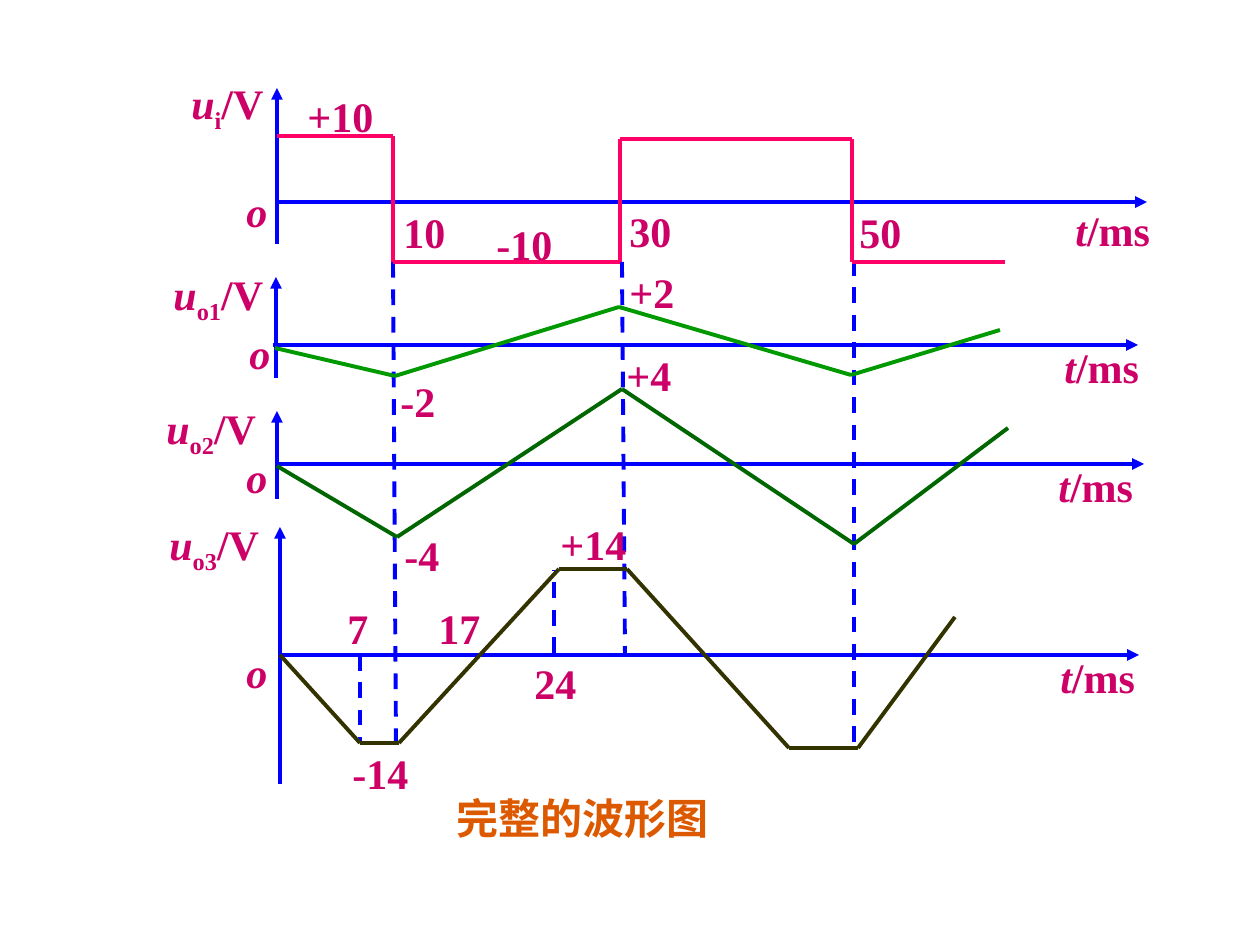
from lxml import etree
from pptx import Presentation
from pptx.dml.color import RGBColor
from pptx.enum.dml import MSO_LINE
from pptx.enum.shapes import MSO_CONNECTOR
from pptx.enum.text import MSO_ANCHOR, MSO_AUTO_SIZE, PP_ALIGN
from pptx.oxml.ns import qn
from pptx.util import Emu, Inches, Pt

STRAIGHT = MSO_CONNECTOR.STRAIGHT
DASH = MSO_LINE.DASH
TOP, LEFT = MSO_ANCHOR.TOP, PP_ALIGN.LEFT
NO_AUTOFIT = MSO_AUTO_SIZE.NONE

EMU_PER_PX = 914400 / 126
FONT, TEXT_SIZE, LINE_WIDTH = "Times New Roman", Pt(24), Pt(2.25)
TEXT_HEIGHT = 63
COLORS = {
    "axis": "0000FF",
    "label": "CC0066",
    "caption": "DC5900",
    "ui": "FF0066",
    "uo1": "009900",
    "uo2": "006600",
    "uo3": "333300",
}

CAPTION = ("完整的波形图", (444, 786, 488, TEXT_HEIGHT))

# Axis ends and label boxes (left, top, width), then the corners of the wave.
PANELS = [
    {"signal": "ui", "time_axis": (277, 1147, 202), "value_axis": (277, 244, 88),
     "signal_at": (179, 71, 171), "origin_at": (234, 179, 67), "time_at": (1063, 198, 154),
     "wave": [(277, 136), (393, 136), (393, 262), (620, 262),
              (620, 139), (852, 139), (852, 262), (1005, 262)]},
    {"signal": "uo1", "time_axis": (273, 1138, 345), "value_axis": (276, 378, 277),
     "signal_at": (161, 262, 168), "origin_at": (237, 321, 67), "time_at": (1052, 335, 142),
     "wave": [(275, 348), (395, 376), (619, 307), (851, 375), (1000, 330)]},
    {"signal": "uo2", "time_axis": (275, 1144, 464), "value_axis": (277, 499, 411),
     "signal_at": (154, 396, 166), "origin_at": (234, 445, 67), "time_at": (1046, 454, 141),
     "wave": [(277, 466), (397, 537), (622, 389), (854, 544), (1008, 428)]},
    {"signal": "uo3", "time_axis": (280, 1139, 655), "value_axis": (280, 784, 527),
     "signal_at": (157, 512, 154), "origin_at": (234, 640, 67), "time_at": (1048, 645, 141),
     "wave": [(280, 655), (360, 743), (399, 743), (559, 569),
              (627, 569), (789, 748), (858, 748), (955, 617)]},
]

GUIDES = [
    ((393, 262), (396, 741)),
    ((622, 262), (625, 655)),
    ((854, 260), (854, 746)),
    ((360, 655), (360, 743)),
    ((554, 653), (554, 570)),
]

VALUES = [
    ("+10", (295, 84, 96)),
    ("10", (391, 200, 72)),
    ("-10", (484, 212, 86)),
    ("30", (617, 199, 93)),
    ("50", (847, 200, 72)),
    ("-2", (388, 369, 107)),
    ("+2", (617, 260, 92)),
    ("+4", (614, 343, 117)),
    ("-4", (392, 523, 87)),
    ("-14", (340, 741, 86)),
    ("+14", (548, 512, 129)),
    ("7", (335, 596, 50)),
    ("17", (426, 596, 107)),
    ("24", (522, 651, 93)),
]


def px(value):
    return Emu(round(value * EMU_PER_PX))


def add_line(slide, start, end, color, dashed=False, arrow=False):
    connector = slide.shapes.add_connector(STRAIGHT, *map(px, (*start, *end)))
    connector.line.color.rgb = RGBColor.from_string(COLORS[color])
    connector.line.width = LINE_WIDTH
    if dashed:
        connector.line.dash_style = DASH
    if arrow:
        etree.SubElement(connector.line._get_or_add_ln(), qn("a:tailEnd"), type="triangle")
    etree.SubElement(connector._element.spPr, qn("a:effectLst"))


def format_font(font, color):
    font.name, font.size, font.bold = FONT, TEXT_SIZE, True
    font.color.rgb = RGBColor.from_string(COLORS[color])


def add_label(slide, box, *parts):
    """Add one line of text; each part is (text, style), style being "", "italic" or "sub"."""
    frame = slide.shapes.add_textbox(*map(px, (*box, TEXT_HEIGHT))).text_frame
    frame.word_wrap = True
    for text, style in parts:
        run = frame.paragraphs[0].add_run()
        run.text = text
        format_font(run.font, "label")
        run.font.italic = style == "italic"
        if style == "sub":
            run.font._element.set("baseline", "-25000")


def add_caption(slide):
    text, box = CAPTION
    title = slide.shapes.title
    title.left, title.top, title.width, title.height = map(px, box)
    frame = title.text_frame
    frame.text = text
    frame.word_wrap, frame.auto_size = True, NO_AUTOFIT
    frame.vertical_anchor = TOP
    paragraph = frame.paragraphs[0]
    paragraph.alignment = LEFT
    format_font(paragraph.runs[0].font, "caption")


def add_panel(slide, panel):
    left, right, zero = panel["time_axis"]
    x, bottom, top = panel["value_axis"]
    add_line(slide, (left, zero), (right, zero), "axis", arrow=True)
    add_line(slide, (x, bottom), (x, top), "axis", arrow=True)
    signal, wave = panel["signal"], panel["wave"]
    for start, end in zip(wave, wave[1:]):
        add_line(slide, start, end, signal)
    add_label(slide, panel["signal_at"], ("u", "italic"), (signal[1:], "sub"), ("/V", ""))
    add_label(slide, panel["origin_at"], ("o", "italic"))
    add_label(slide, panel["time_at"], ("t", "italic"), ("/ms", ""))


def main():
    prs = Presentation()
    prs.slide_width, prs.slide_height = Inches(10), Inches(7.5)
    slide = prs.slides.add_slide(prs.slide_layouts.get_by_name("Title Only"))
    add_caption(slide)
    for start, end in GUIDES:
        add_line(slide, start, end, "axis", dashed=True)
    for panel in PANELS:
        add_panel(slide, panel)
    for text, box in VALUES:
        add_label(slide, box, (text, ""))
    prs.save("out.pptx")


if __name__ == "__main__":
    main()
